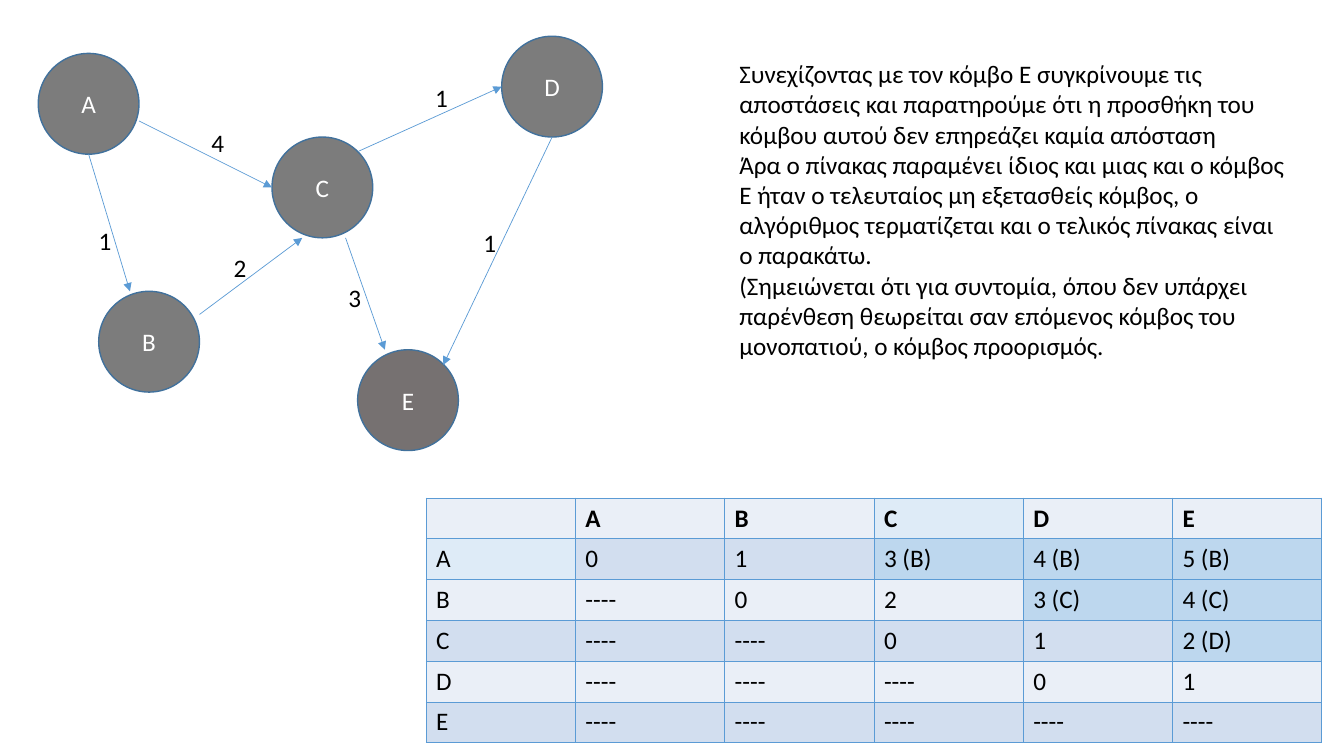
from lxml.etree import SubElement
from pptx import Presentation
from pptx.dml.color import RGBColor
from pptx.enum.shapes import MSO_CONNECTOR, MSO_SHAPE
from pptx.enum.text import MSO_ANCHOR, MSO_AUTO_SIZE, PP_ALIGN
from pptx.oxml.ns import qn
from pptx.util import Inches, Pt

FONT = "Calibri"
COLORS = {
    "node": "7C7C7C", "current": "767171", "node_line": "41719C",
    "edge": "5B9BD5", "white": "FFFFFF", "black": "000000",
    "light": "EAEFF7", "band": "D2DEEF", "pale": "DEEBF7", "changed": "BDD7EE",
}

# Graph: node name, left, top, fill
NODES = [
    ("A", 0.38, 0.53, "node"),
    ("E", 3.55, 3.47, "current"),
    ("B", 0.98, 2.89, "node"),
    ("C", 2.7, 1.36, "node"),
    ("D", 4.98, 0.36, "node"),
]
# Start and end of each arrow
EDGES = [
    ((1.38, 1.2), (2.7, 1.86)),
    ((1.98, 3.12), (3, 2.36)),
    ((0.88, 1.53), (1.29, 2.89)),
    ((5.48, 1.36), (4.4, 3.62)),
    ((3.43, 2.36), (3.82, 3.47)),
    ((3.56, 1.5), (4.98, 0.86)),
]
# Weight, left, top
WEIGHTS = [
    ("4", 2, 1.21), ("1", 4.7, 2.21), ("1", 4.22, 0.77),
    ("1", 0.88, 2.19), ("2", 2.22, 2.45), ("3", 3.36, 2.75),
]
EXPLANATION = [
    "Συνεχίζοντας με τον κόμβο E συγκρίνουμε τις αποστάσεις και παρατηρούμε "
    "ότι η προσθήκη του κόμβου αυτού δεν επηρεάζει καμία απόσταση",
    "Άρα ο πίνακας παραμένει ίδιος και μιας και ο κόμβος Ε ήταν ο τελευταίος "
    "μη εξετασθείς κόμβος, ο αλγόριθμος τερματίζεται και ο τελικός πίνακας "
    "είναι ο παρακάτω.",
    "(Σημειώνεται ότι για συντομία, όπου δεν υπάρχει παρένθεση θεωρείται σαν "
    "επόμενος κόμβος του μονοπατιού, ο κόμβος προορισμός.",
]
NO_PATH = "----"
DISTANCES = [
    ["", "A", "B", "C", "D", "E"],
    ["A", "0", "1", "3 (Β)", "4 (B)", "5 (B)"],
    ["B", NO_PATH, "0", "2", "3 (C)", "4 (C)"],
    ["C", NO_PATH, NO_PATH, "0", "1", "2 (D)"],
    ["D", NO_PATH, NO_PATH, NO_PATH, "0", "1"],
    ["E"] + [NO_PATH] * 5,
]
PALE_CELLS = {(0, 3), (1, 0)}


def color(name):
    return RGBColor.from_string(COLORS[name])


def add_text(paragraph, text, tint="black", bold=False):
    run = paragraph.add_run()
    run.text = text
    run.font.name = FONT
    run.font.size = Pt(18)
    run.font.bold = bold
    run.font.color.rgb = color(tint)


def add_node(slide, name, left, top, fill):
    node = slide.shapes.add_shape(
        MSO_SHAPE.OVAL, Inches(left), Inches(top), Inches(1), Inches(1))
    node.shadow.inherit = False
    node.fill.solid()
    node.fill.fore_color.rgb = color(fill)
    node.line.color.rgb = color("node_line")
    node.line.width = Pt(1)
    node.text_frame.vertical_anchor = MSO_ANCHOR.MIDDLE
    label = node.text_frame.paragraphs[0]
    label.alignment = PP_ALIGN.CENTER
    add_text(label, name, "white")


def add_edge(slide, start, end):
    edge = slide.shapes.add_connector(
        MSO_CONNECTOR.STRAIGHT, *(Inches(value) for value in start + end))
    edge.line.color.rgb = color("edge")
    edge.line.width = Pt(0.5)
    SubElement(edge.line._get_or_add_ln(), qn("a:tailEnd"), type="triangle")
    SubElement(edge._element.spPr, qn("a:effectLst"))


def add_note(slide, paragraphs, left, top, width, height, wrap=True):
    note = slide.shapes.add_textbox(
        Inches(left), Inches(top), Inches(width), Inches(height)).text_frame
    note.word_wrap = wrap
    note.auto_size = MSO_AUTO_SIZE.SHAPE_TO_FIT_TEXT
    for index, text in enumerate(paragraphs):
        add_text(note.add_paragraph() if index else note.paragraphs[0], text)


def add_borders(cell):
    for side in ("a:lnL", "a:lnR", "a:lnT", "a:lnB"):
        border = SubElement(cell._tc.get_or_add_tcPr(), qn(side), w=str(Pt(0.45)))
        fill = SubElement(border, qn("a:solidFill"))
        SubElement(fill, qn("a:srgbClr"), val=COLORS["edge"])


def cell_fill(row, column, text):
    if "(" in text:
        return "changed"
    if (row, column) in PALE_CELLS:
        return "pale"
    return "band" if row % 2 else "light"


def add_distance_table(slide, left, top, width, height):
    distances = slide.shapes.add_table(
        len(DISTANCES), len(DISTANCES[0]),
        Inches(left), Inches(top), Inches(width), Inches(height)).table
    for r, values in enumerate(DISTANCES):
        for c, text in enumerate(values):
            cell = distances.cell(r, c)
            add_borders(cell)
            cell.fill.solid()
            cell.fill.fore_color.rgb = color(cell_fill(r, c, text))
            if text:
                add_text(cell.text_frame.paragraphs[0], text, bold=r == 0)


def main():
    deck = Presentation()
    deck.slide_width, deck.slide_height = Inches(13.34), Inches(7.5)
    slide = deck.slides.add_slide(deck.slide_layouts[6])

    # Weighted graph
    for node in NODES:
        add_node(slide, *node)
    for edge in EDGES:
        add_edge(slide, *edge)
    for weight, left, top in WEIGHTS:
        add_note(slide, [weight], left, top, 0.32, 0.4, wrap=False)

    # Explanation and final distances
    add_note(slide, EXPLANATION, 7.24, 0.53, 5.62, 3.1)
    add_distance_table(slide, 4.23, 4.94, 8.89, 2.43)

    deck.save("out.pptx")


if __name__ == "__main__":
    main()
